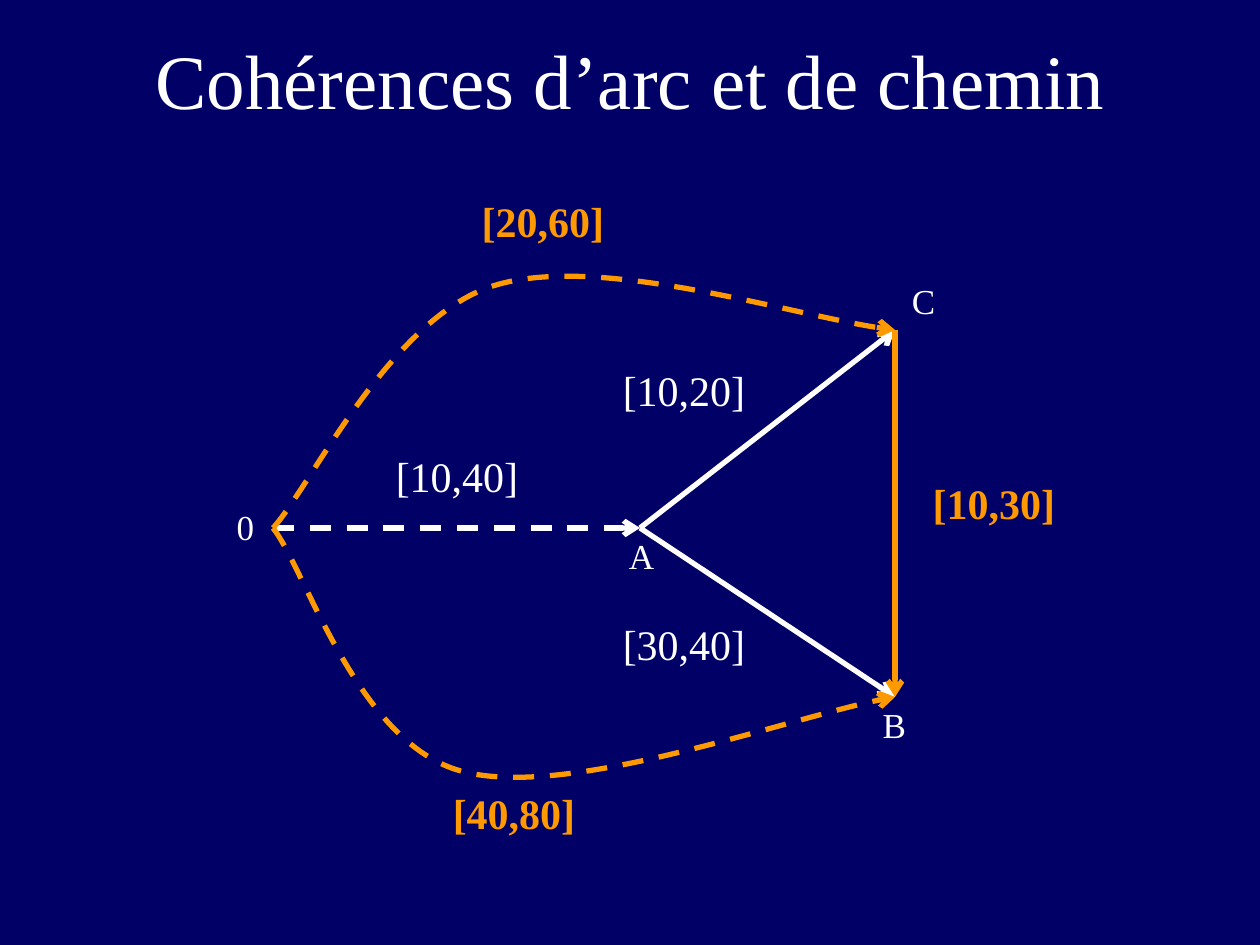
import pptx
import pptx.dml.color
import pptx.enum.dml
import pptx.enum.shapes
import pptx.enum.text
import pptx.oxml
import pptx.oxml.ns
import pptx.util

PX = 914400 / 126
WIDTH, HEIGHT = 1260, 945
FONT = "Times New Roman"
NAVY = pptx.dml.color.RGBColor(0x00, 0x00, 0x66)
WHITE = pptx.dml.color.RGBColor(0xFF, 0xFF, 0xFF)
ORANGE = pptx.dml.color.RGBColor(0xFF, 0x99, 0x00)

# Time points of the constraint network
ORIGIN, A, B, C = (273, 528), (640, 528), (895, 697), (895, 330)
INTERVAL_SIZE, NODE_SIZE = (198, 84), (113, 84)


def emu(*lengths):
    return [pptx.util.Emu(round(n * PX)) for n in lengths]


def write(tf, text, size, color, bold=False):
    tf.word_wrap = True
    tf.auto_size = pptx.enum.text.MSO_AUTO_SIZE.NONE
    p = tf.paragraphs[0]
    p.alignment = pptx.enum.text.PP_ALIGN.CENTER
    r = p.add_run()
    r.text = text
    r.font.name = FONT
    r.font.size = pptx.util.Pt(size)
    r.font.bold = bold
    r.font.color.rgb = color


def add_title(s, text):
    sp = s.shapes.title
    sp.left, sp.top, sp.width, sp.height = emu(95, 0, 1071, 158)
    sp.text_frame.vertical_anchor = pptx.enum.text.MSO_ANCHOR.MIDDLE
    write(sp.text_frame, text, 44, WHITE)


def add_interval(shapes, text, corner, color=WHITE, bold=False):
    sp = shapes.add_textbox(*emu(*corner, *INTERVAL_SIZE))
    write(sp.text_frame, text, 24, color, bold)


def add_node(shapes, text, corner):
    sp = shapes.add_textbox(*emu(*corner, *NODE_SIZE))
    write(sp.text_frame, text, 20, WHITE)


def style_arrow(sp, color, dashed):
    sp.line.color.rgb = color
    sp.line.width = pptx.util.Pt(3)
    if dashed:
        sp.line.dash_style = pptx.enum.dml.MSO_LINE.DASH
    ln = sp.element.spPr.find(pptx.oxml.ns.qn("a:ln"))
    ln.append(pptx.oxml.parse_xml(
        f'<a:tailEnd {pptx.oxml.ns.nsdecls("a")} type="arrow"/>'))


def add_arrow(shapes, start, end, color=WHITE, dashed=False):
    sp = shapes.add_connector(
        pptx.enum.shapes.MSO_CONNECTOR.STRAIGHT, *emu(*start, *end))
    style_arrow(sp, color, dashed)
    sp.element.spPr.append(pptx.oxml.parse_xml(
        f'<a:effectLst {pptx.oxml.ns.nsdecls("a")}/>'))


def add_curve(shapes, start, points):
    """Draw a dashed arrow; each three points make one cubic Bezier segment."""
    builder = shapes.build_freeform(*start, scale=PX)
    builder.add_line_segments(points, close=False)
    sp = builder.convert_to_shape()
    sp.shadow.inherit = False
    sp.fill.background()
    style_arrow(sp, ORANGE, dashed=True)
    qn = pptx.oxml.ns.qn
    outline = sp.element.spPr.find(".//" + qn("a:path"))
    segments = outline.findall(qn("a:lnTo"))
    for i in range(0, len(segments), 3):
        curve = pptx.oxml.parse_xml(
            f'<a:cubicBezTo {pptx.oxml.ns.nsdecls("a")}/>')
        for segment in segments[i:i + 3]:
            curve.append(segment[0])
            outline.remove(segment)
        outline.append(curve)


def main():
    prs = pptx.Presentation()
    prs.slide_width, prs.slide_height = emu(WIDTH, HEIGHT)
    s = prs.slides.add_slide(prs.slide_layouts[5])
    s.background.fill.solid()
    s.background.fill.fore_color.rgb = NAVY
    add_title(s, "Cohérences d’arc et de chemin")

    add_arrow(s.shapes, A, C)
    add_arrow(s.shapes, ORIGIN, A, dashed=True)
    add_arrow(s.shapes, A, B)
    for text, corner in (("[10,40]", (358, 444)), ("[10,20]", (585, 358)),
                         ("[30,40]", (585, 612))):
        add_interval(s.shapes, text, corner)
    for text, corner in (("0", (189, 499)), ("C", (867, 273)),
                         ("A", (585, 528)), ("B", (838, 697))):
        add_node(s.shapes, text, corner)

    arc = s.shapes.add_group_shape().shapes
    add_curve(arc, ORIGIN, [(310, 488), (389, 319), (493, 286),
                            (596, 253), (810, 321), C])
    add_curve(arc, ORIGIN, [(305, 568), (357, 743), (461, 771),
                            (564, 800), (804, 712), B])
    add_interval(arc, "[20,60]", (444, 189), ORANGE, bold=True)
    add_interval(arc, "[40,80]", (415, 781), ORANGE, bold=True)

    chemin = s.shapes.add_group_shape().shapes
    add_arrow(chemin, C, B, ORANGE)
    add_interval(chemin, "[10,30]", (895, 471), ORANGE, bold=True)

    prs.save("out.pptx")


if __name__ == "__main__":
    main()
